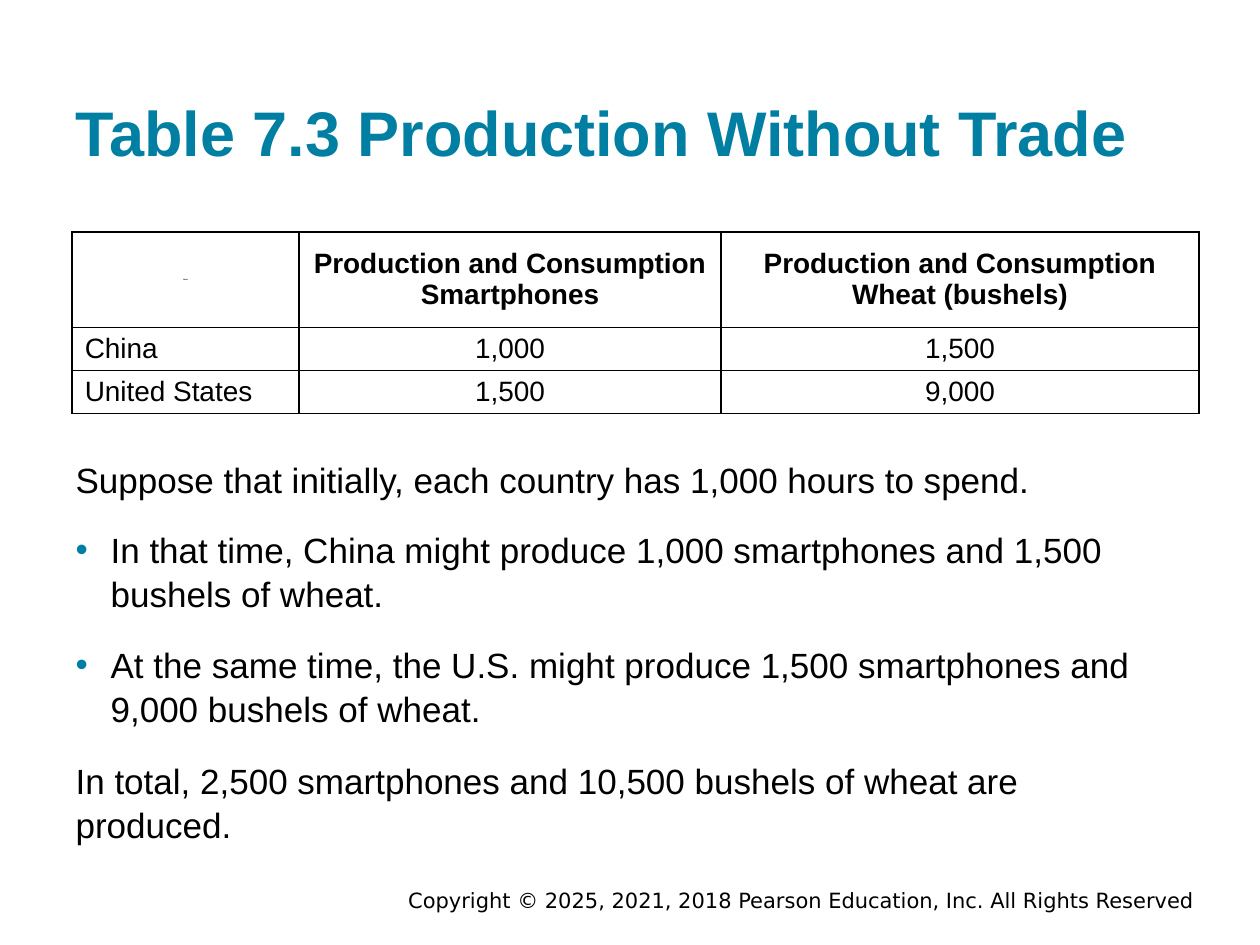
"""Build the slide on production without trade."""
from dataclasses import dataclass

from lxml import etree
from pptx import Presentation
from pptx.dml.color import RGBColor
from pptx.enum.text import MSO_ANCHOR, MSO_AUTO_SIZE, PP_ALIGN
from pptx.oxml.ns import qn
from pptx.util import Pt

LEFT, CENTER, RIGHT = PP_ALIGN.LEFT, PP_ALIGN.CENTER, PP_ALIGN.RIGHT
TOP, MIDDLE, BOTTOM = MSO_ANCHOR.TOP, MSO_ANCHOR.MIDDLE, MSO_ANCHOR.BOTTOM
NO_FIT = MSO_AUTO_SIZE.NONE
COLORS = {"teal": "007FA3", "black": "000000"}
BULLET_INDENT = 20
TABLE_COLUMNS = (129.6, 241.2, 273)
TABLE_ROWS = (54.75, 24.5, 24.5)


@dataclass
class Style:
    """Look of a paragraph."""
    size: float
    color: str = "black"
    bold: bool = False
    font: str = "Arial"
    align: PP_ALIGN = LEFT


@dataclass
class Block:
    """Place and paragraphs of a body placeholder."""
    top: float
    height: float
    lines: tuple[tuple[str, bool], ...]


TITLE = Style(36, "teal", bold=True)
BODY = Style(20)
FOOTER = Style(12, font="DejaVu Sans", align=RIGHT)
BLANK = Style(1, bold=True, align=CENTER)
HEADING = Style(16, bold=True, align=CENTER)
COUNTRY = Style(16)
NUMBER = Style(16, align=CENTER)

TABLE_CELLS = (
    (("Blank", BLANK),
     ("Production and Consumption\nSmartphones", HEADING),
     ("Production and Consumption\nWheat (bushels)", HEADING)),
    (("China", COUNTRY), ("1,000", NUMBER), ("1,500", NUMBER)),
    (("United States", COUNTRY), ("1,500", NUMBER), ("9,000", NUMBER)),
)
BLOCKS = (
    Block(253.5, 161.5, (
        ("Suppose that initially, each country has 1,000 hours to spend.", False),
        ("In that time, China might produce 1,000 smartphones and 1,500 "
         "bushels of wheat.", True),
        ("At the same time, the U.S. might produce 1,500 smartphones and "
         "9,000 bushels of wheat.", True))),
    Block(425.5, 36, (
        ("In total, 2,500 smartphones and 10,500 bushels of wheat are "
         "produced.", False),)),
)


def format_paragraph(para, style: Style) -> None:
    """Apply a style to a paragraph."""
    para.alignment = style.align
    para.font.name = style.font
    para.font.size = Pt(style.size)
    para.font.bold = style.bold
    para.font.color.rgb = RGBColor.from_string(COLORS[style.color])


def place(box, left: float, top: float, width: float, height: float,
          anchor: MSO_ANCHOR, inset: float) -> None:
    """Move a text shape and set up its frame."""
    box.left, box.top, box.width, box.height = map(Pt, (left, top, width, height))
    frame = box.text_frame
    frame.word_wrap = True
    frame.auto_size = NO_FIT
    frame.vertical_anchor = anchor
    frame.margin_left = frame.margin_right = Pt(7.2)
    frame.margin_top = frame.margin_bottom = Pt(inset)


def set_bullet(para, shown: bool) -> None:
    """Give a paragraph a teal bullet with hanging indent, or neither."""
    props = para._p.get_or_add_pPr()
    indent = Pt(BULLET_INDENT) if shown else 0
    props.set("marL", str(indent))
    props.set("indent", str(-indent))
    if shown:
        color = etree.SubElement(props, qn("a:buClr"))
        etree.SubElement(color, qn("a:srgbClr"), val=COLORS["teal"])
        etree.SubElement(props, qn("a:buFont"), typeface="Arial")
        etree.SubElement(props, qn("a:buChar"), char="•")
    else:
        etree.SubElement(props, qn("a:buNone"))


def fill_body(box, block: Block) -> None:
    """Write the paragraphs of a body placeholder."""
    place(box, 36, block.top, 648, block.height, TOP, 7.2)
    box.text_frame.text = "\n".join(text for text, _ in block.lines)
    for index, para in enumerate(box.text_frame.paragraphs):
        set_bullet(para, block.lines[index][1])
        para.space_before = Pt(15 if index else 0)
        para.line_spacing = 1.05
        format_paragraph(para, BODY)


def add_borders(cell) -> None:
    """Draw a thin black line on each side of a cell."""
    props = cell._tc.get_or_add_tcPr()
    for index, side in enumerate(("lnL", "lnR", "lnT", "lnB")):
        line = etree.Element(qn(f"a:{side}"), w=str(Pt(1)))
        fill = etree.SubElement(line, qn("a:solidFill"))
        etree.SubElement(fill, qn("a:srgbClr"), val=COLORS["black"])
        props.insert(index, line)


def add_production_table(page) -> None:
    """Add the table of production by country."""
    table = page.shapes.add_table(
        len(TABLE_ROWS), len(TABLE_COLUMNS), Pt(41.25), Pt(132.5),
        Pt(sum(TABLE_COLUMNS)), Pt(sum(TABLE_ROWS))).table
    table.horz_banding = False
    for column, width in zip(table.columns, TABLE_COLUMNS):
        column.width = Pt(width)
    for row, height, contents in zip(table.rows, TABLE_ROWS, TABLE_CELLS):
        row.height = Pt(height)
        for cell, (text, style) in zip(row.cells, contents):
            cell.text = text
            cell.vertical_anchor = MIDDLE
            cell.margin_top = cell.margin_bottom = Pt(3)
            cell.fill.background()
            add_borders(cell)
            for para in cell.text_frame.paragraphs:
                format_paragraph(para, style)


def main() -> None:
    """Build and save the deck."""
    deck = Presentation()
    deck.slide_width, deck.slide_height = Pt(720), Pt(540)
    page = deck.slides.add_slide(deck.slide_layouts[3])

    title, *bodies = page.placeholders
    place(title, 36, 17.25, 648, 86.5, BOTTOM, 7.2)
    title.text_frame.text = "Table 7.3 Production Without Trade"
    format_paragraph(title.text_frame.paragraphs[0], TITLE)

    add_production_table(page)
    for box, block in zip(bodies, BLOCKS):
        fill_body(box, block)

    footer = page.shapes.add_textbox(0, 0, 0, 0)
    place(footer, 126, 506.25, 563.75, 15.75, MIDDLE, 3.6)
    footer.text_frame.text = ("Copyright © 2025, 2021, 2018 Pearson Education, "
                              "Inc. All Rights Reserved")
    format_paragraph(footer.text_frame.paragraphs[0], FOOTER)
    deck.save("out.pptx")


if __name__ == "__main__":
    main()
